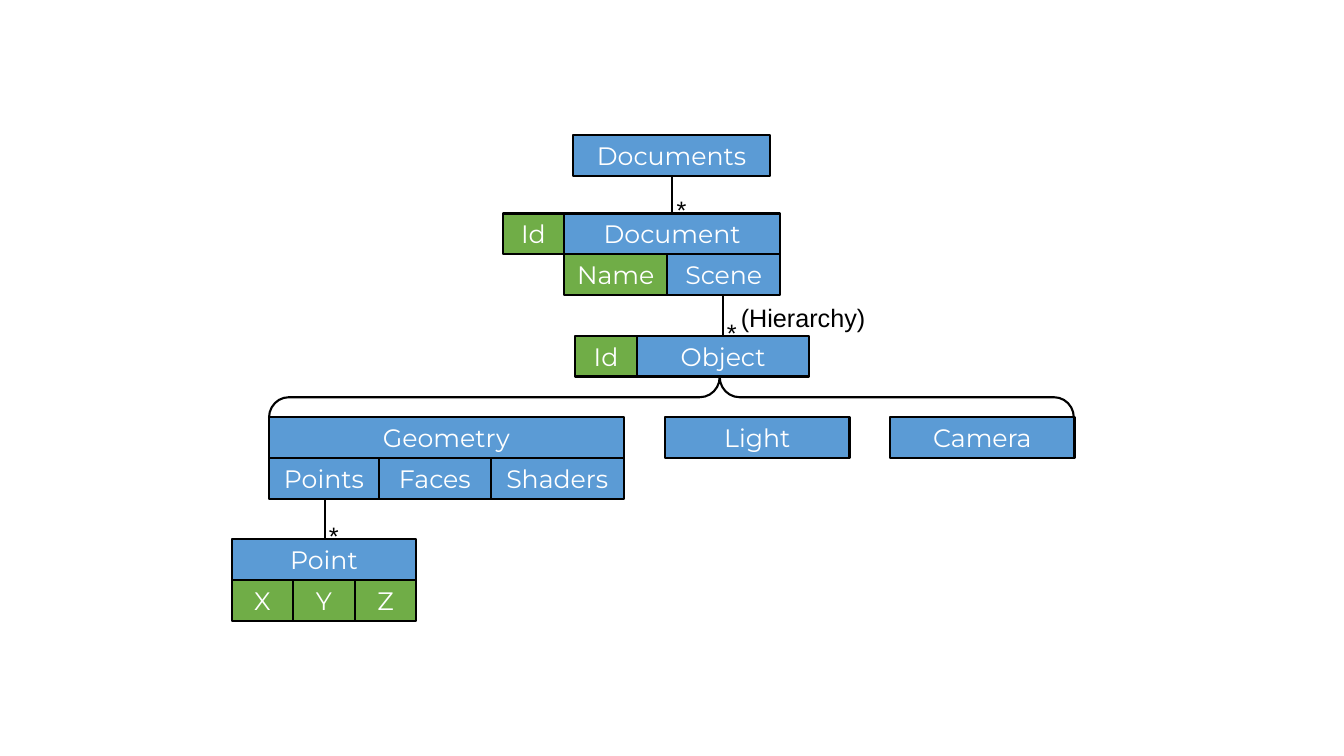
"""Build the slide showing the data model of documents, scenes, objects and geometry."""
from lxml import etree
from pptx import Presentation
from pptx.dml.color import RGBColor
from pptx.enum import shapes, text
from pptx.oxml import ns
from pptx.util import Cm, Pt

COLOURS = {"node": "5B9BD5", "value": "70AD47", "ink": "000000", "label": "FFFFFF"}
ROW = 1.03
ID = 1.55
WIDE = 3 * ID


def colour(name):
    return RGBColor.from_string(COLOURS[name])


def write(frame, words, font, ink, align):
    frame.word_wrap = False
    frame.vertical_anchor = text.MSO_ANCHOR.MIDDLE
    paragraph = frame.paragraphs[0]
    paragraph.text = words
    paragraph.alignment = align
    paragraph.font.name = font
    paragraph.font.size = Pt(18)
    paragraph.font.color.rgb = colour(ink)


deck = Presentation()
deck.slide_width, deck.slide_height = Cm(33.87), Cm(19.05)
slide = deck.slides.add_slide(deck.slide_layouts[6])

brace = slide.shapes.add_shape(
    shapes.MSO_SHAPE.LEFT_BRACE, Cm(16.41), Cm(-0.13), Cm(1.02), Cm(20.28))
brace.rotation = 90
brace.adjustments[0], brace.adjustments[1] = 0.49, 0.44
brace.shadow.inherit = False
brace.fill.background()
brace.line.color.rgb = colour("ink")
brace.line.width = Pt(1.5)

documents, document, scene_object, geometry, point = 3.4, 5.38, 8.46, 10.52, 13.59
rows = [
    (14.45, documents, [("Documents", 4.95, "node")]),
    (12.67, document, [("Id", ID, "value"), ("Document", 5.44, "node")]),
    (14.22, document + ROW, [("Name", 2.6, "value"), ("Scene", 2.84, "node")]),
    (14.5, scene_object, [("Id", ID, "value"), ("Object", 4.35, "node")]),
    (5.84, point, [("Point", WIDE, "node")]),
    (5.84, point + ROW, [(axis, ID, "value") for axis in "XYZ"]),
    (6.78, geometry, [("Geometry", 8.94, "node")]),
    (6.78, geometry + ROW,
     [("Points", 2.77, "node"), ("Faces", 2.82, "node"), ("Shaders", 3.35, "node")]),
    (16.76, geometry, [("Light", WIDE, "node")]),
    (22.43, geometry, [("Camera", WIDE, "node")]),
]
for left, top, cells in rows:
    for name, width, kind in cells:
        cell = slide.shapes.add_shape(
            shapes.MSO_SHAPE.RECTANGLE, Cm(left), Cm(top), Cm(width), Cm(ROW))
        cell.shadow.inherit = False
        cell.fill.solid()
        cell.fill.fore_color.rgb = colour(kind)
        cell.line.color.rgb = colour("ink")
        cell.line.width = Pt(1.5)
        write(cell.text_frame, name, "Montserrat", "label", text.PP_ALIGN.CENTER)
        left += width

links = [
    (16.94, documents + ROW, document),
    (18.21, document + 2 * ROW, scene_object),
    (8.18, geometry + 2 * ROW, point),
]
for x, start, end in links:
    link = slide.shapes.add_connector(
        shapes.MSO_CONNECTOR.STRAIGHT, Cm(x), Cm(start), Cm(x), Cm(end))
    link.line.color.rgb = colour("ink")
    link.line.width = Pt(1.5)
    etree.SubElement(link._element.spPr, ns.qn("a:effectLst"))

notes = [("*", x - 0.14, end - 0.61, 1.04) for x, start, end in links]
notes.append(("(Hierarchy)", 18.42, 7.49, 4.42))
for words, left, top, width in notes:
    note = slide.shapes.add_textbox(Cm(left), Cm(top), Cm(width), Cm(ROW))
    write(note.text_frame, words, "Arial", "ink", text.PP_ALIGN.LEFT)

deck.save("out.pptx")
